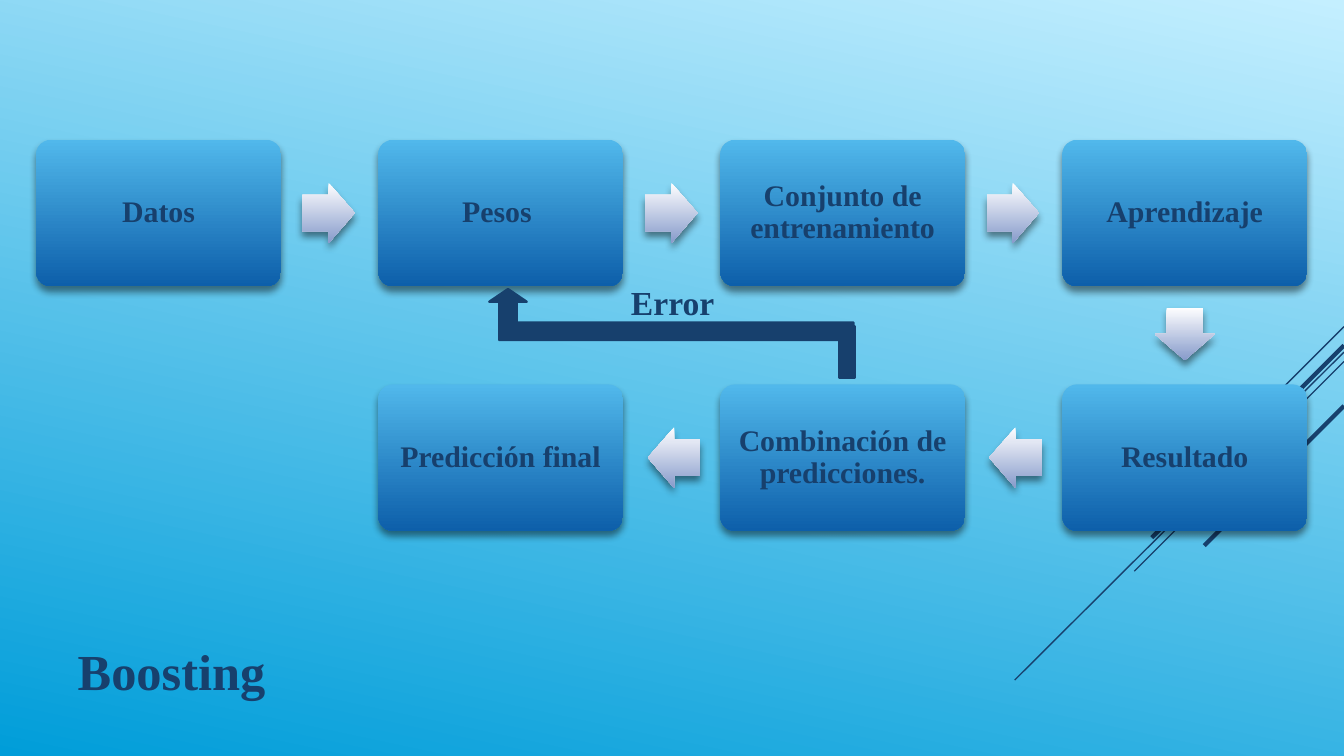
from lxml import etree
from pptx import Presentation
from pptx.dml.color import RGBColor
from pptx.enum.shapes import MSO_CONNECTOR, MSO_SHAPE
from pptx.enum.text import MSO_ANCHOR, PP_ALIGN
from pptx.oxml.ns import qn
from pptx.util import Inches, Pt

ROUNDED = MSO_SHAPE.ROUNDED_RECTANGLE
RIGHT_ARROW = MSO_SHAPE.RIGHT_ARROW
BENT_ARROW = MSO_SHAPE.BENT_UP_ARROW
RECTANGLE = MSO_SHAPE.RECTANGLE
STRAIGHT = MSO_CONNECTOR.STRAIGHT
CENTER = PP_ALIGN.CENTER
LEFT = PP_ALIGN.LEFT
TOP = MSO_ANCHOR.TOP
MIDDLE = MSO_ANCHOR.MIDDLE
BOTTOM = MSO_ANCHOR.BOTTOM

NAVY = "17406D"
SKY = ("C4EFFF", "009DD9")
BOX_BLUE = ("51B8EB", "0D5FAA")
ARROW_GREY = ("FEFEFF", "879BCB")

# Grid of process boxes
GRID_LEFT, COLUMN_STEP = 0.27, 2.545
ROW_TOPS = (1.04, 2.86)
BOX_WIDTH, BOX_HEIGHT = 1.82, 1.09
ARROW_WIDTH, ARROW_HEIGHT = 0.39, 0.45

STEPS = [  # text, column, row
    ("Datos", 0, 0),
    ("Pesos ", 1, 0),
    ("Conjunto de entrenamiento", 2, 0),
    ("Aprendizaje", 3, 0),
    ("Resultado", 3, 1),
    ("Combinación de predicciones.", 2, 1),
    ("Predicción final", 1, 1),
]
FLOW_ARROWS = [  # left, top, rotation
    (2.25, 1.36, 0),
    (4.80, 1.36, 0),
    (7.34, 1.36, 0),
    (8.62, 2.26, 90),
    (7.36, 3.18, 180),
    (4.82, 3.18, 180),
]
CORNER_LINES = [  # start y on the right edge, end x, end y, width
    (2.43, 9.25, 3.18, 0.75),
    (2.62, 7.55, 5.06, 0.75),
    (2.69, 8.44, 4.25, 0.75),
    (2.57, 8.57, 4.00, 2.25),
    (3.02, 8.96, 4.06, 2.25),
]


def color(value):
    return RGBColor.from_string(value)


def fill_gradient(fill, colors, angle):
    """Fill with two colours; the angle runs clockwise."""
    fill.gradient()
    fill.gradient_angle = 360 - angle
    for stop, value in zip(fill.gradient_stops, colors):
        stop.color.rgb = color(value)


def add_shadow(shape):
    effects = shape._element.spPr.find(qn("a:effectLst"))
    shadow = etree.SubElement(effects, qn("a:outerShdw"), blurRad=str(Pt(4)),
                              dist=str(Pt(3)), dir="5400000", rotWithShape="0")
    black = etree.SubElement(shadow, qn("a:srgbClr"), val="000000")
    etree.SubElement(black, qn("a:alpha"), val="46000")


def add_shape(slide, kind, place, adjustments=()):
    shape = slide.shapes.add_shape(kind, *map(Inches, place))
    shape.shadow.inherit = False
    for index, value in enumerate(adjustments):
        shape.adjustments[index] = value
    return shape


def add_shaded_shape(slide, kind, place, adjustments, colors):
    shape = add_shape(slide, kind, place, adjustments)
    fill_gradient(shape.fill, colors, 90)
    shape._element.spPr.find(qn("a:gradFill")).set("rotWithShape", "0")
    shape.line.fill.background()
    add_shadow(shape)
    return shape


def add_navy_shape(slide, kind, place, adjustments=()):
    shape = add_shape(slide, kind, place, adjustments)
    shape.fill.solid()
    shape.fill.fore_color.rgb = color(NAVY)
    shape.line.color.rgb = color(NAVY)
    shape.line.width = Pt(1.25)
    return shape


def write_text(shape, text, size, align, anchor, inset=0.1, spacing=1.0):
    frame = shape.text_frame
    frame_format = {
        "word_wrap": True, "vertical_anchor": anchor,
        "margin_left": Inches(inset), "margin_right": Inches(inset),
        "margin_top": Inches(inset), "margin_bottom": Inches(inset),
    }
    for name, value in frame_format.items():
        setattr(frame, name, value)
    para = frame.paragraphs[0]
    para.alignment = align
    para.line_spacing = spacing
    span = para.add_run()
    span.text = text
    font_format = {"name": "Times New Roman", "size": Pt(size), "bold": True}
    for name, value in font_format.items():
        setattr(span.font, name, value)
    span.font.color.rgb = color(NAVY)


def add_label(slide, place, text, size, align, anchor, inset):
    label = slide.shapes.add_textbox(*map(Inches, place))
    write_text(label, text, size, align, anchor, inset)


def add_corner_line(slide, start_y, end_x, end_y, width):
    line = slide.shapes.add_connector(
        STRAIGHT, *map(Inches, (10, start_y, end_x, end_y)))
    line.line.color.rgb = color(NAVY)
    line.line.width = Pt(width)
    etree.SubElement(line._element.spPr, qn("a:effectLst"))


def add_step(slide, text, column, row):
    place = (GRID_LEFT + column * COLUMN_STEP, ROW_TOPS[row],
             BOX_WIDTH, BOX_HEIGHT)
    box = add_shaded_shape(slide, ROUNDED, place, [0.1], BOX_BLUE)
    write_text(box, text, 16, CENTER, MIDDLE, spacing=0.9)


def add_flow_arrow(slide, left, top, rotation):
    place = (left, top, ARROW_WIDTH, ARROW_HEIGHT)
    arrow = add_shaded_shape(slide, RIGHT_ARROW, place, [0.6, 0.5], ARROW_GREY)
    arrow.rotation = rotation


def add_error_loop(slide):
    bend = add_navy_shape(slide, BENT_ARROW, (3.64, 2.15, 2.71, 0.38),
                          [0.345, 0.367, 0.25])
    bend.rotation = 180
    bend._element.spPr.xfrm.set("flipV", "1")
    add_navy_shape(slide, RECTANGLE, (6.24, 2.43, 0.12, 0.38))
    add_label(slide, (4.41, 2.05, 1.19, 0.38), "Error", 18, CENTER, TOP, 0.05)


def main():
    deck = Presentation()
    deck.slide_width = Inches(10)
    deck.slide_height = deck.slide_width * 9 // 16
    slide = deck.slides.add_slide(deck.slide_layouts[6])

    # Background and corner decoration
    fill_gradient(slide.background.fill, SKY, 102)
    for corner_line in CORNER_LINES:
        add_corner_line(slide, *corner_line)

    # Title
    add_label(slide, (0.48, 4.54, 7, 0.77), "Boosting", 27, LEFT, BOTTOM, 0.1)

    # Process and its feedback loop
    for step in STEPS:
        add_step(slide, *step)
    for flow_arrow in FLOW_ARROWS:
        add_flow_arrow(slide, *flow_arrow)
    add_error_loop(slide)

    deck.save("out.pptx")


if __name__ == "__main__":
    main()
